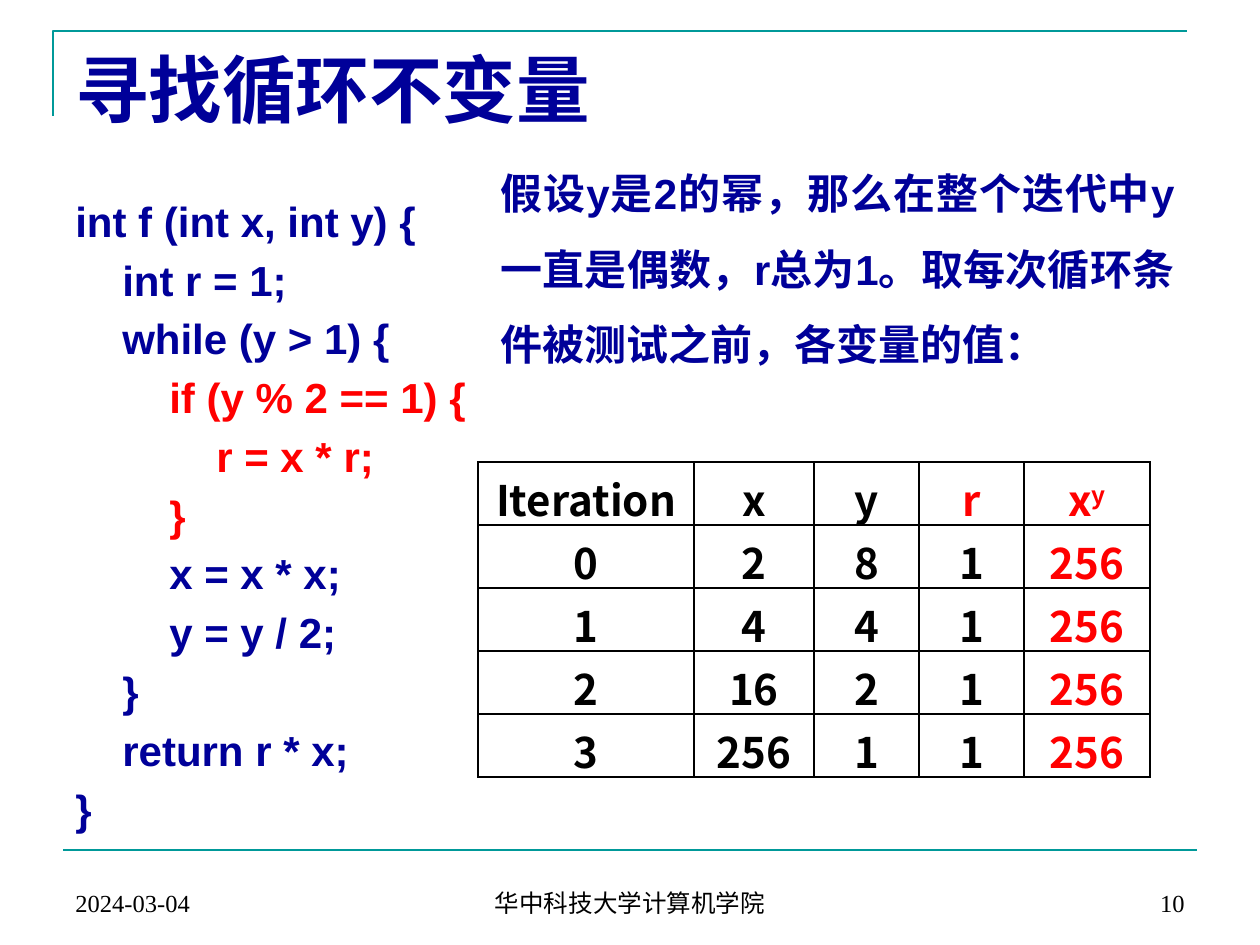
import pptx
import pptx.dml.color
import pptx.enum.shapes
import pptx.enum.text
import pptx.util
from lxml import etree
from pptx.oxml.ns import qn

PX = 914400 / 126
RGB = pptx.dml.color.RGBColor
TEAL, NAVY = RGB(0, 0x99, 0x99), RGB(0, 0, 0x99)
RED, BLACK, WHITE = RGB(255, 0, 0), RGB(0, 0, 0), RGB(255, 255, 255)
ALIGN = pptx.enum.text.PP_ALIGN
ANCHOR = pptx.enum.text.MSO_ANCHOR
SERIF, SANS, CJK = "Times New Roman", "Arial", "Noto Sans CJK SC"

CODE = [  # depth, text, colour
    (0, "int f (int x, int y) {", NAVY),
    (1, "int r = 1;", NAVY),
    (1, "while (y > 1) {", NAVY),
    (2, "if (y % 2 == 1) {", RED),
    (3, "r = x * r;", RED),
    (2, "}", RED),
    (2, "x = x * x;", NAVY),
    (2, "y = y / 2;", NAVY),
    (1, "}", NAVY),
    (1, "return r * x;", NAVY),
    (0, "}", NAVY),
]
ROWS = [
    ("Iteration", "x", "y", "r", "x"),
    ("0", "2", "8", "1", "256"),
    ("1", "4", "4", "1", "256"),
    ("2", "16", "2", "1", "256"),
    ("3", "256", "1", "1", "256"),
]
NOTE = ("假设y是2的幂，那么在整个迭代中y一直是偶数，r总为1。"
        "取每次循环条件被测试之前，各变量的值：")


def emu(*px):
    return [round(v * PX) for v in px]


def style(p, font, size, color, bold=False, align=ALIGN.LEFT, indent=0):
    p.font.name, p.font.size, p.font.bold = font, pptx.util.Pt(size), bold
    p.font.color.rgb = color
    p.alignment = align
    if indent:
        p._p.get_or_add_pPr().set("marL", str(emu(indent)[0]))


def add_text(s, box, text, *look, anchor=ANCHOR.TOP, **more):
    tf = s.shapes.add_textbox(*emu(*box)).text_frame
    tf.word_wrap = True
    tf.vertical_anchor = anchor
    p = tf.paragraphs[0]
    p.text = text
    style(p, *look, **more)


def add_frame(s, x, y, w, h):
    """Corner rule above the title and straight rule above the footer."""
    fb = s.shapes.build_freeform(0, 85, scale=PX)
    fb.add_line_segments([(0, 0), (w, 0)], close=False)
    corner = fb.convert_to_shape(*emu(x, y))
    corner.fill.background()
    corner.shadow.inherit = False
    rule = s.shapes.add_connector(pptx.enum.shapes.MSO_CONNECTOR.STRAIGHT,
                                  *emu(x + 10, y + h, x + 10 + w, y + h))
    etree.SubElement(rule._element.spPr, qn("a:effectLst"))
    for sp in (corner, rule):
        sp.line.color.rgb = TEAL
        sp.line.width = pptx.util.Pt(1.5)


def add_footer(s, x, y, w, h):
    side, mid = 294, 400
    for left, width, text, align in (
            (x, side, "2024-03-04", ALIGN.LEFT),
            (x + (w - mid) // 2, mid, "华中科技大学计算机学院", ALIGN.CENTER),
            (x + w - side, side, "10", ALIGN.RIGHT)):
        add_text(s, (left, y, width, h), text, SERIF, 14, BLACK,
                 align=align, anchor=ANCHOR.BOTTOM)


def add_code(s, x, y, w, h):
    tf = s.shapes.add_textbox(*emu(x, y, w, h)).text_frame
    tf.word_wrap = True
    for i, (depth, text, color) in enumerate(CODE):
        p = tf.add_paragraph() if i else tf.paragraphs[0]
        p.text = text
        p.space_before = pptx.util.Pt(4.8)
        style(p, SANS, 24, color, True, indent=47 * depth)


def add_note(s, x, y, w, h):
    sp = s.shapes.add_shape(pptx.enum.shapes.MSO_SHAPE.RECTANGLE, *emu(x, y, w, h))
    sp.shadow.inherit = False
    sp.fill.solid()
    sp.fill.fore_color.rgb = WHITE
    sp.line.fill.background()
    tf = sp.text_frame
    tf.word_wrap = True
    tf.vertical_anchor = ANCHOR.TOP
    p = tf.paragraphs[0]
    p.text = NOTE
    p.line_spacing = 1.5
    p.space_before = pptx.util.Pt(4.8)
    style(p, SANS, 24, NAVY, True, ALIGN.JUSTIFY, 47)


def add_borders(cell):
    tcPr = cell._tc.get_or_add_tcPr()
    for i, side in enumerate(("lnL", "lnR", "lnT", "lnB")):
        ln = etree.Element(qn("a:" + side), w="12700")
        fill = etree.SubElement(ln, qn("a:solidFill"))
        etree.SubElement(fill, qn("a:srgbClr"), val=str(BLACK))
        tcPr.insert(i, ln)


def add_trace(s, x, y, widths, row_h):
    """Table of the variables' values at each iteration."""
    table = s.shapes.add_table(len(ROWS), len(widths), *emu(
        x, y, sum(widths), row_h * len(ROWS))).table
    for col, width in zip(table.columns, widths):
        col.width = emu(width)[0]
    for i, values in enumerate(ROWS):
        table.rows[i].height = emu(row_h)[0]
        for j, value in enumerate(values):
            cell = table.cell(i, j)
            cell.fill.background()
            cell.margin_bottom = 0
            add_borders(cell)
            p = cell.text_frame.paragraphs[0]
            p.text = value
            red = j == 4 or (i, j) == (0, 3)
            style(p, CJK, 24, RED if red else BLACK, True, ALIGN.CENTER)
    power = table.cell(0, 4).text_frame.paragraphs[0].add_run()
    power.text = "y"
    power.font._element.set("baseline", "30000")


def main():
    prs = pptx.Presentation()
    prs.slide_width, prs.slide_height = emu(1260, 945)
    s = prs.slides.add_slide(prs.slide_layouts[6])
    add_frame(s, 53, 31, 1134, 819)
    add_footer(s, 63, 861, 1134, 63)
    add_text(s, (63, 38, 1134, 158), "寻找循环不变量", SERIF, 42, NAVY, True)
    add_code(s, 63, 189, 1124, 674)
    add_note(s, 441, 136, 746, 232)
    add_trace(s, 478, 462, (216, 120, 105, 105, 126), 63)
    prs.save("out.pptx")


if __name__ == "__main__":
    main()
